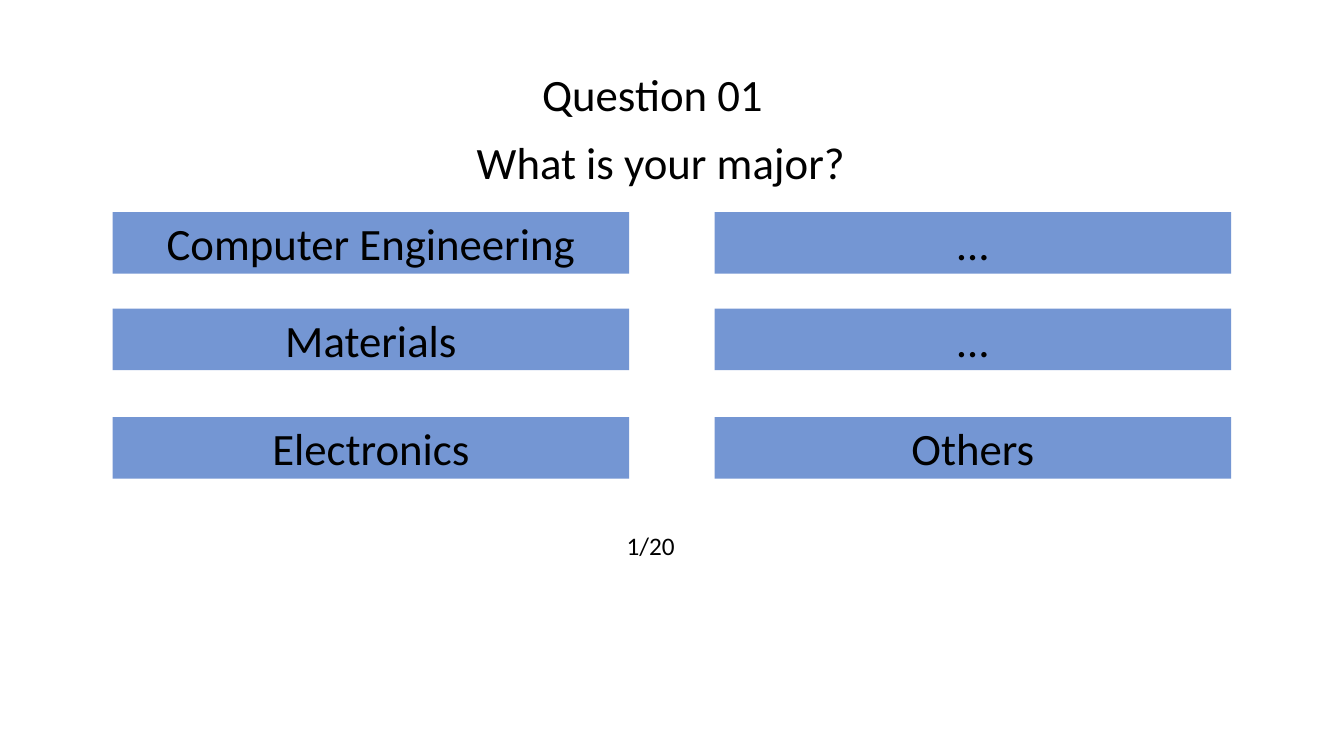
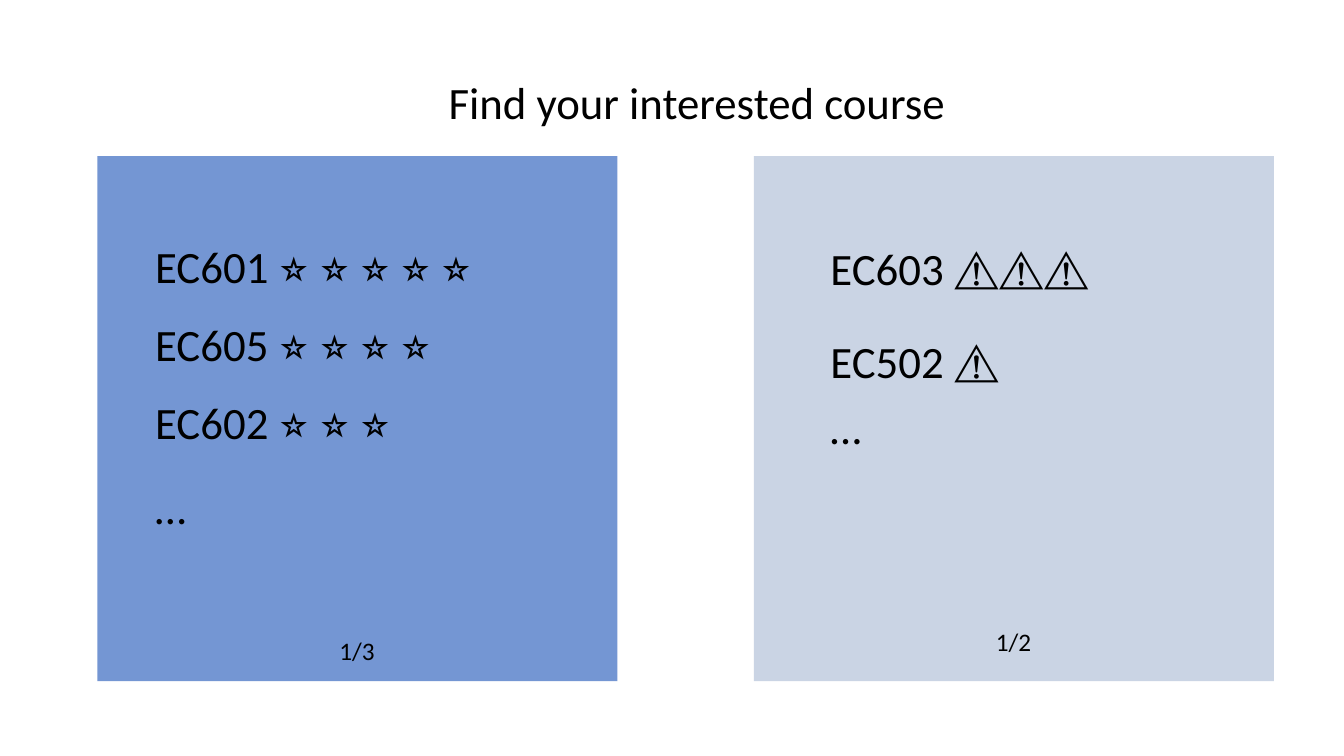
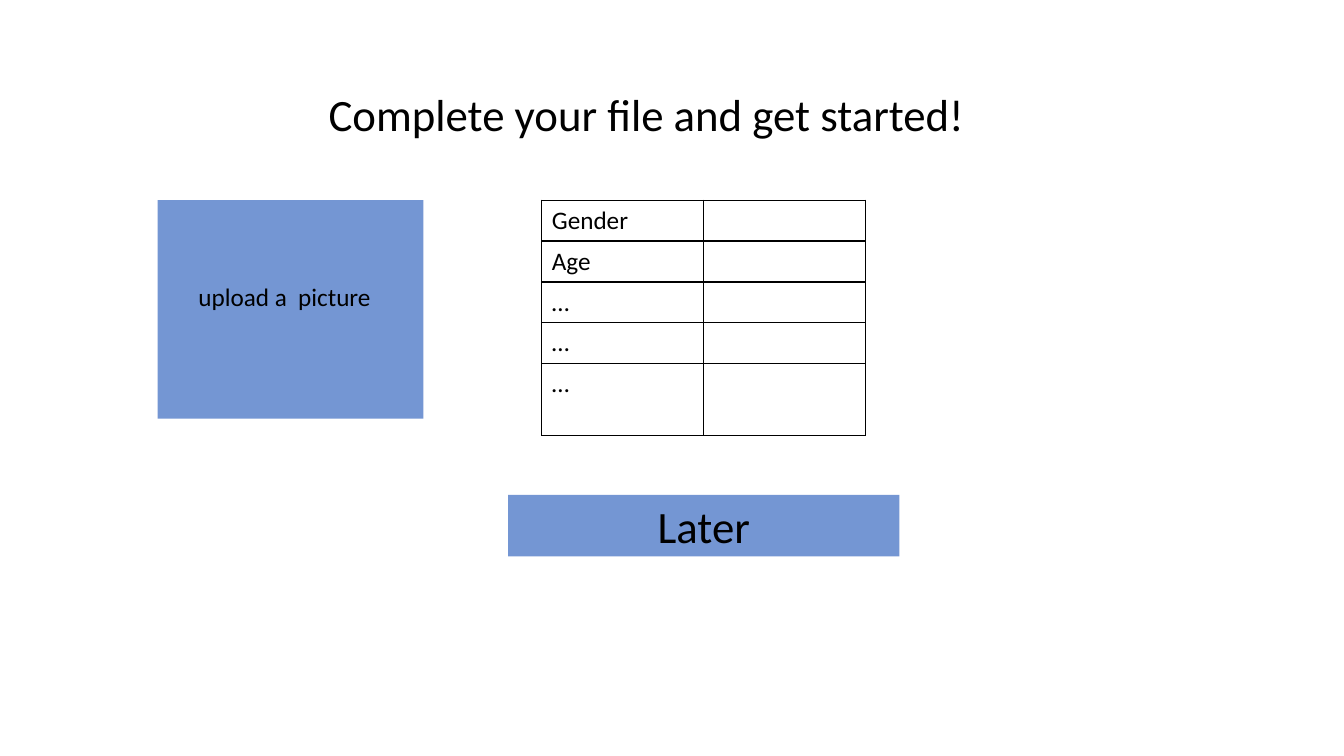
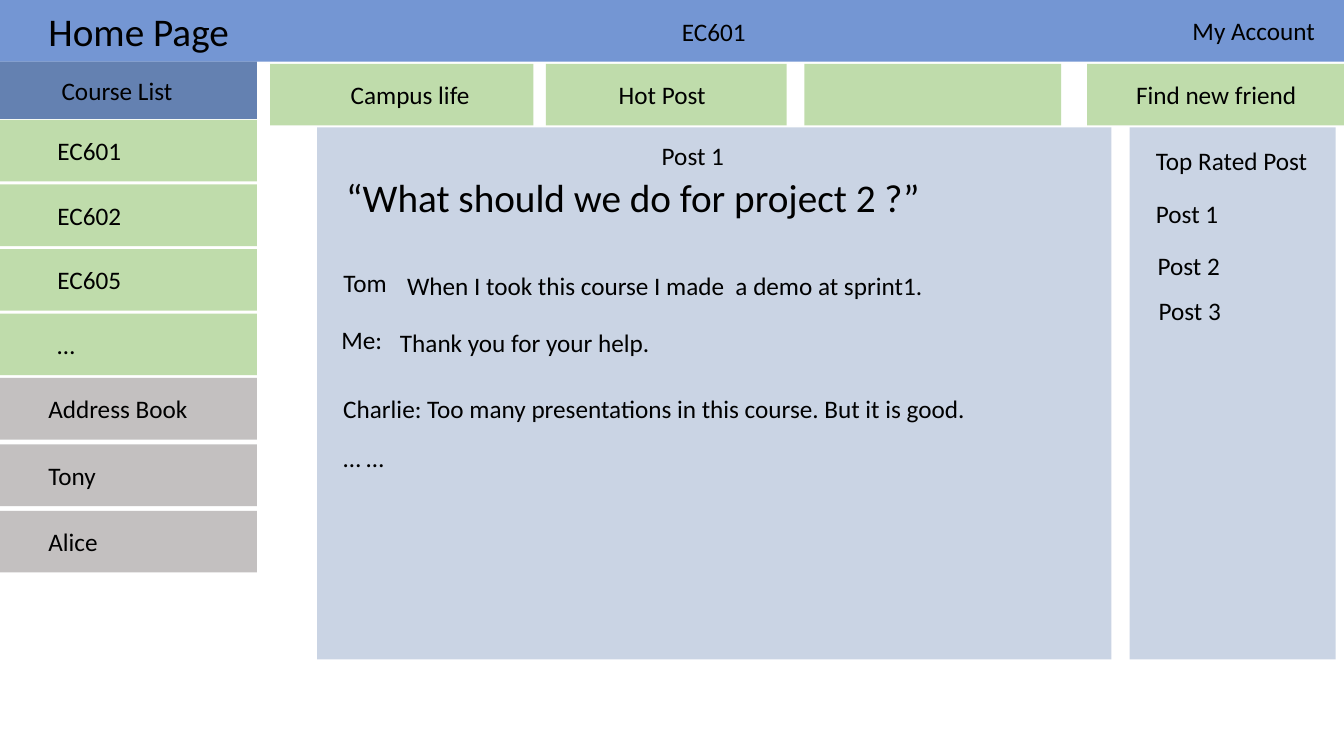
import pptx
import pptx.dml.color
import pptx.enum.shapes
import pptx.enum.text
import pptx.oxml
import pptx.oxml.ns
import pptx.util

Pt = pptx.util.Pt
RGBColor = pptx.dml.color.RGBColor
Align = pptx.enum.text.PP_ALIGN
Anchor = pptx.enum.text.MSO_ANCHOR
qn = pptx.oxml.ns.qn

FONT = "Calibri"
BLACK = RGBColor(0x00, 0x00, 0x00)
WHITE = RGBColor(0xFF, 0xFF, 0xFF)
BLUE = RGBColor(0x44, 0x72, 0xC4)
NAVY = RGBColor(0x2F, 0x55, 0x97)
GREEN = RGBColor(0xA9, 0xD1, 0x8E)
GRAY = RGBColor(0xAF, 0xAB, 0xAB)
STRONG, PALE = 74, 25  # opacity in percent
LARGE, MEDIUM, SMALL = 32, 28, 18
BAR_HEIGHT = 44


def write(shape, text, size=SMALL, box=None, inset=7.2, align=Align.LEFT, anchor=Anchor.TOP):
    """Put one line of text in a shape, first moving the shape to box if given."""
    if box:
        shape.left, shape.top, shape.width, shape.height = map(Pt, box)
    frame = shape.text_frame
    frame.word_wrap = True
    frame.auto_size = pptx.enum.text.MSO_AUTO_SIZE.NONE
    frame.vertical_anchor = anchor
    frame.margin_left = Pt(inset)
    frame.text = text
    paragraph = frame.paragraphs[0]
    paragraph.alignment = align
    paragraph.font.name = FONT
    paragraph.font.size = Pt(size)
    paragraph.font.color.rgb = BLACK


def block(slide, left, top, width, height, color, opacity=STRONG):
    """Add a translucent rectangle without outline."""
    shape = slide.shapes.add_shape(pptx.enum.shapes.MSO_SHAPE.RECTANGLE,
                                   Pt(left), Pt(top), Pt(width), Pt(height))
    shape.shadow.inherit = False
    shape.line.fill.background()
    shape.fill.solid()
    shape.fill.fore_color.rgb = color
    fill_color = shape.element.spPr.find(qn("a:solidFill")).find(qn("a:srgbClr"))
    alpha = fill_color.makeelement(qn("a:alpha"), {"val": str(opacity * 1000)})
    fill_color.append(alpha)
    return shape


presentation = pptx.Presentation()
presentation.slide_width, presentation.slide_height = Pt(960), Pt(540)
title_only = presentation.slide_layouts[5]

# Slide 1: question with six answers
slide = presentation.slides.add_slide(title_only)
write(slide.shapes.title, "Question 01", LARGE, (380, 44, 189, 46))
write(slide.shapes.add_textbox(0, 0, 0, 0), "What is your major?", LARGE, (333.4, 93, 383, 46))
answer_rows = [
    (151.5, "Computer Engineering", "…"),
    (220.5, "Materials", "…"),
    (298, "Electronics", "Others"),
]
for top, *answers in answer_rows:
    for left, answer in zip((80.5, 510.5), answers):
        button = block(slide, left, top, 369, BAR_HEIGHT, BLUE)
        write(button, answer, LARGE, align=Align.CENTER, anchor=Anchor.MIDDLE)
write(slide.shapes.add_textbox(0, 0, 0, 0), "1/20", box=(440.6, 375, 55, 29))

# Slide 2: recommended courses and courses to beware of
slide = presentation.slides.add_slide(title_only)
write(slide.shapes.title, "Find your interested course", LARGE, (313.2, 49.5, 406, 46))
course_panels = [
    (69.5, BLUE, STRONG, 103.7, (235.4, 450, "1/3"),
     [(167, "EC601 ⭐️ ⭐️ ⭐️ ⭐️ ⭐️"), (222.5, "EC605 ⭐️ ⭐️ ⭐️ ⭐️"),
      (278.5, "EC602 ⭐️ ⭐️ ⭐️"), (339, "…")]),
    (538.5, NAVY, PALE, 586.1, (704.2, 443.5, "1/2"),
     [(168.5, "EC603 ⚠️⚠️⚠️"), (234.7, "EC502 ⚠️"), (282.2, "…")]),
]
for left, color, opacity, text_left, counter, courses in course_panels:
    block(slide, left, 111.5, 371.5, 375, color, opacity)
    for top, course in courses:
        write(slide.shapes.add_textbox(0, 0, 0, 0), course, LARGE, (text_left, top, 311, 46))
    counter_left, counter_top, counter_text = counter
    write(slide.shapes.add_textbox(0, 0, 0, 0), counter_text,
          box=(counter_left, counter_top, 46, 29))

# Slide 3: profile form
slide = presentation.slides.add_slide(title_only)
write(slide.shapes.title, "Complete your file and get started!", LARGE, (227.5, 58.5, 475, 85))
block(slide, 112.5, 143, 190, 156, BLUE)
write(slide.shapes.add_textbox(0, 0, 0, 0), "upload a  picture", box=(134.6, 197.3, 146, 29))

fields = ["Gender", "Age", "…", "…", "…"]
table = slide.shapes.add_table(len(fields), 2, Pt(387), Pt(143), Pt(231.5), Pt(166)).table
table.first_row = table.horz_banding = False
for row, field in zip(table.rows, fields):
    row.height = Pt(28.8)
    for cell, text in zip(row.cells, (field, "")):
        cell.fill.solid()
        cell.fill.fore_color.rgb = WHITE
        cell.text = text
        font = cell.text_frame.paragraphs[0].font
        font.name, font.size, font.color.rgb = FONT, Pt(SMALL), BLACK
        properties = cell._tc.get_or_add_tcPr()
        for position, side in enumerate(("lnL", "lnR", "lnT", "lnB")):
            properties.insert(position, pptx.oxml.parse_xml(
                f'<a:{side} xmlns:a="http://schemas.openxmlformats.org/drawingml/2006/main" '
                f'w="12700"><a:solidFill><a:srgbClr val="{BLACK}"/></a:solidFill></a:{side}>'))
table.rows[len(fields) - 1].height = Pt(51)

later_button = block(slide, 363, 353.5, 279.5, BAR_HEIGHT, BLUE)
write(later_button, "Later", LARGE, align=Align.CENTER, anchor=Anchor.MIDDLE)

# Slide 4: home page with its top band
slide = presentation.slides.add_slide(title_only)
block(slide, 0, 0, 960, BAR_HEIGHT, BLUE)
title = slide.shapes.title
write(title, "Home Page", MEDIUM, (27.4, 1.5, 160, 41))
slide.shapes.element.append(title.element)  # in front of the band

# Side bar and tabs: left, top, width, height, colour, text, inset
SIDE_WIDTH = 183.5
bars = [(0, 44, SIDE_WIDTH, 41, NAVY, "Course List", 44)]
for index, course in enumerate(["EC601", "EC602", "EC605", "…"]):
    bars.append((0, 85.7 + 46.1 * index, SIDE_WIDTH, BAR_HEIGHT, GREEN, course, 41))
for index, contact in enumerate(["Address Book", "Tony", "Alice"]):
    bars.append((0, 270 + 47.5 * index, SIDE_WIDTH, BAR_HEIGHT, GRAY, contact, 34.5))
for left, width, tab, inset in [(193, 188, "Campus life", 57.5), (390, 172, "Hot Post", 52),
                                (574.5, 183.5, "", 0), (776.5, 183.5, "Find new friend", 35)]:
    bars.append((left, 45.7, width, BAR_HEIGHT, GREEN, tab, inset))
for left, top, width, height, color, text, inset in bars:
    bar = block(slide, left, top, width, height, color)
    if text:
        write(bar, text, inset=inset, anchor=Anchor.MIDDLE)

# Post and ranking panels
for left, width in [(226.5, 567.5), (807, 147)]:
    block(slide, left, 91, width, 380, NAVY, PALE)

# Texts on the band and the panels
for left, top, width, size, text in [
    (480, 8, 70, SMALL, "EC601"),
    (844.7, 7.2, 112, SMALL, "My Account"),
    (465.6, 96.5, 70, SMALL, "Post 1"),
    (240.2, 120.2, 450, MEDIUM, "“What should we do for project 2 ?”"),
    (238.1, 187.7, 60, SMALL, "Tom"),
    (283.7, 189.4, 410, SMALL, "When I took this course I made  a demo at sprint1."),
    (236.7, 228.4, 60, SMALL, "Me:"),
    (278.6, 230.4, 220, SMALL, "Thank you for your help."),
    (238.1, 277.4, 490, SMALL, "Charlie: Too many presentations in this course. But it is good."),
    (238.1, 312.5, 60, SMALL, "… …"),
    (818.6, 100, 134, SMALL, "Top Rated Post"),
    (818.6, 138, 70, SMALL, "Post 1"),
    (819.8, 175, 70, SMALL, "Post 2"),
    (820.5, 207.4, 70, SMALL, "Post 3"),
]:
    height = 41 if size == MEDIUM else 29
    write(slide.shapes.add_textbox(0, 0, 0, 0), text, size, (left, top, width, height))

presentation.save("out.pptx")
